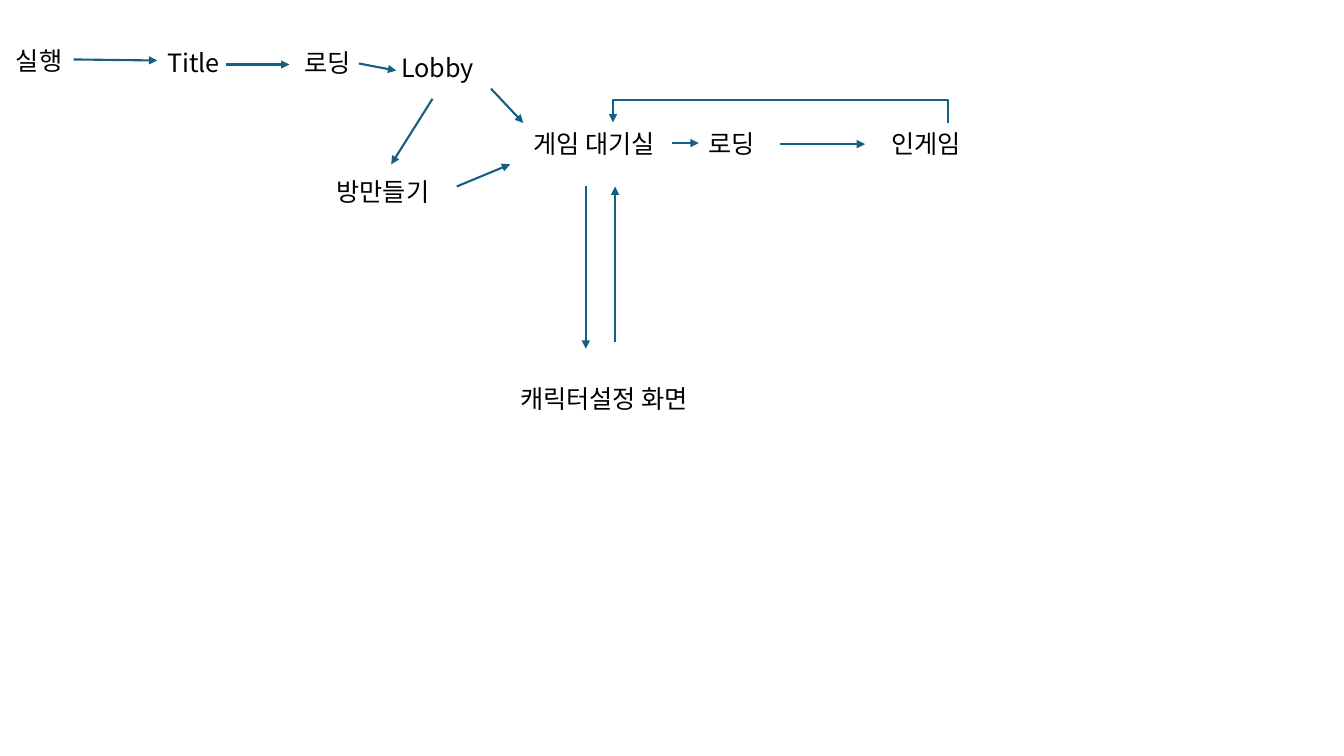
from lxml.etree import SubElement as Sub
from pptx import Presentation
from pptx.dml.color import RGBColor as Rgb
from pptx.enum.shapes import MSO_CONNECTOR as Conn
from pptx.enum.text import MSO_AUTO_SIZE as Auto
from pptx.oxml.ns import qn
from pptx.util import Inches, Pt

HUES = {"text": "000000", "line": "156082"}
FONT = "Noto Sans CJK KR"
CELL = 0.1  # inches per grid column and row
TOP, LEFT = 0, 1  # connection sites


def size(cells):
    return Inches(cells * CELL)


class Flow:
    """Style and current slide; lengths are grid columns and rows."""

    def __init__(self, deck):
        self.slide = deck.slides.add_slide(deck.slide_layouts[6])

    def label(self, text, col, row, wide, wrap=True):
        box = self.slide.shapes.add_textbox(
            size(col), size(row), size(wide), size(4))
        frame = box.text_frame
        frame.word_wrap = wrap
        frame.auto_size = Auto.SHAPE_TO_FIT_TEXT
        run = frame.paragraphs[0].add_run()
        run.text = text
        font = run.font
        font.name, font.size = FONT, Pt(18)
        font.color.rgb = Rgb.from_string(HUES["text"])
        Sub(font._element, qn("a:ea"), typeface=FONT)
        return box

    def arrow(self, start, end, goal=None, kind=Conn.STRAIGHT):
        link = self.slide.shapes.add_connector(
            kind, *map(size, (*start, *end)))
        if goal is not None:
            link.end_connect(goal, LEFT)
        self.style(link)
        return link

    def style(self, link):
        link.line.width = Pt(1.5)
        link.line.color.rgb = Rgb.from_string(HUES["line"])
        Sub(link.line._get_or_add_ln(), qn("a:tailEnd"), type="triangle")
        Sub(link._element.spPr, qn("a:effectLst"))

    def loop(self, first, last, rise):
        """Elbow arrow between two box tops, passing above them."""
        link = self.slide.shapes.add_connector(Conn.ELBOW, 0, 0, 0, 0)
        link.begin_connect(first, TOP)
        link.end_connect(last, TOP)
        self.style(link)
        # Turn a thin elbow on its side so its middle leg runs above
        right = first.left + first.width // 2
        left = last.left + last.width // 2
        thin, span = size(0.1), right - left
        link.left = (left + right - thin) // 2
        link.top = first.top - span // 2
        link.width, link.height = thin, span
        form = link._element.spPr.find(qn("a:xfrm"))
        form.attrib.pop("flipH", None)
        form.set("rot", "16200000")
        form.set("flipV", "1")
        shape = link._element.spPr.find(qn("a:prstGeom"))
        guides = shape.find(qn("a:avLst"))
        if guides is None:
            guides = Sub(shape, qn("a:avLst"))
        ratio = round(size(rise) / thin * 100000)
        Sub(guides, qn("a:gd"), name="adj1", fmla=f"val {ratio}")


def main():
    deck = Presentation()
    deck.slide_width, deck.slide_height = Inches(13.33), Inches(7.5)
    flow = Flow(deck)

    # Screens: text, column, row, width
    flow.label("실행", 0.6, 4, 19.8)
    flow.label("Title", 15.6, 4.2, 11.6)
    flow.label("로딩", 29.2, 4.2, 11.6)
    flow.label("Lobby", 38.8, 4.7, 13.1)
    flow.label("방만들기", 32.4, 17, 15.3)
    wait = flow.label("게임 대기실", 51.9, 12.2, 17.8)
    load = flow.label("로딩", 69.3, 12.2, 11.6)
    game = flow.label("인게임", 87.4, 12.2, 13.2)
    flow.label("캐릭터설정 화면", 50.6, 37.5, 20.6, wrap=False)

    # Steps from launch to play
    for start, end in (
        ((7.3, 5.9), (15.6, 6)),
        ((22.4, 6.4), (28.7, 6.4)),
        ((35.6, 6.3), (39.3, 7)),
        ((48.7, 8.8), (51.9, 12.2)),
        ((42.9, 9.8), (38.8, 16.3)),
        ((45.3, 18.5), (50.6, 16.3)),
        ((77.4, 14.3), (85.8, 14.3)),
        # To the character screen and back
        ((58.1, 18.5), (58.1, 34.6)),
        ((61, 33.9), (61, 18.5)),
    ):
        flow.arrow(start, end)
    flow.arrow((66.7, 14.2), (69.3, 14.2), load)

    # Return to the waiting room
    flow.loop(game, wait, 2.4)

    deck.save("out.pptx")


if __name__ == "__main__":
    main()
